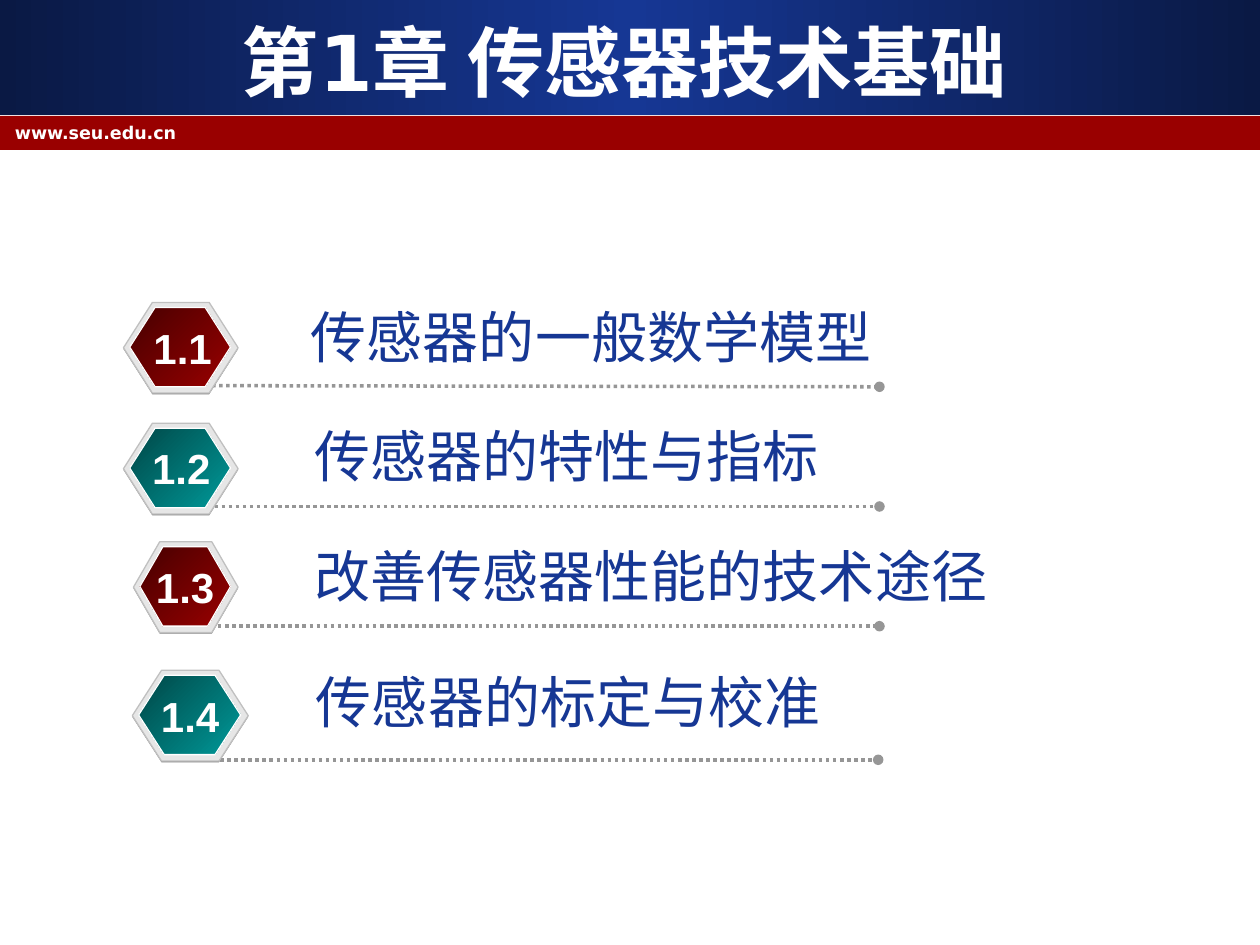
import copy

import pptx
import pptx.dml.color
import pptx.enum.dml
import pptx.enum.shapes
import pptx.enum.text
import pptx.oxml
import pptx.oxml.ns
import pptx.util

Inches = pptx.util.Inches
Pt = pptx.util.Pt
MSO_SHAPE = pptx.enum.shapes.MSO_SHAPE
ALIGN = pptx.enum.text.PP_ALIGN
ANCHOR = pptx.enum.text.MSO_ANCHOR
AUTO_SIZE = pptx.enum.text.MSO_AUTO_SIZE
qn = pptx.oxml.ns.qn

RED = ["470000", "990000"]
TEAL = ["004747", "009999"]
NAVY = ["0A1944", "163794", "0A1944"]

SECTIONS = [
    dict(number="1.1", text="传感器的一般数学模型", colors=RED,
         hexagon=(0.98, 2.4, 0.91), adj=0.319, label=(1.12, 2.51),
         heading=(2.37, 2.35, 4.84), line=(1.18, 3.06, 6.98, 3.07)),
    dict(number="1.2", text="传感器的特性与指标", colors=TEAL,
         hexagon=(0.98, 3.36, 0.91), adj=0.318, label=(1.11, 3.46),
         heading=(2.4, 3.3, 6.54), line=(1.2, 4.02, 6.98, 4.02)),
    dict(number="1.3", text="改善传感器性能的技术途径", colors=RED,
         hexagon=(1.06, 4.3, 0.83), adj=0.289, label=(1.14, 4.41),
         heading=(2.4, 4.25, 5.59), line=(1.73, 4.97, 6.98, 4.97)),
    dict(number="1.4", text="传感器的标定与校准", colors=TEAL,
         hexagon=(1.05, 5.32, 0.92), adj=0.322, label=(1.18, 5.43),
         heading=(2.41, 5.25, 4.26), line=(1.3, 6.03, 6.97, 6.03)),
]


def rgb(value):
    return pptx.dml.color.RGBColor.from_string(value)


def set_text(tf, text, size, color, font="Arial", bold=False, align=ALIGN.LEFT):
    p = tf.paragraphs[0]
    p.alignment = align
    r = p.add_run()
    r.text = text
    r.font.size = Pt(size)
    r.font.name = font
    r.font.bold = bold
    r.font.color.rgb = rgb(color)


def add_text(s, x, y, w, h, text, wrap=True, **fmt):
    tf = s.shapes.add_textbox(Inches(x), Inches(y), Inches(w), Inches(h)).text_frame
    tf.word_wrap = wrap
    tf.auto_size = AUTO_SIZE.NONE
    set_text(tf, text, **fmt)


def fill_gradient(sp, colors, angle):
    sp.fill.gradient()
    sp.fill.gradient_angle = angle
    gs_list = next(sp._element.iter(qn("a:gsLst")))
    for _ in colors[2:]:
        gs_list.append(copy.deepcopy(gs_list[0]))
    for i, (stop, color) in enumerate(zip(sp.fill.gradient_stops, colors)):
        stop.position = i / (len(colors) - 1)
        stop.color.rgb = rgb(color)


def add_shape(s, kind, x, y, w, h, colors, angle=0, line=None):
    sp = s.shapes.add_shape(kind, Inches(x), Inches(y), Inches(w), Inches(h))
    sp.shadow.inherit = False
    if len(colors) > 1:
        fill_gradient(sp, colors, angle)
    else:
        sp.fill.solid()
        sp.fill.fore_color.rgb = rgb(colors[0])
    if line:
        sp.line.color.rgb = rgb(line)
        sp.line.width = Pt(0.75)
    else:
        sp.line.fill.background()
    return sp


def add_hexagon(s, x, y, w, adj, colors):
    layers = [
        (x, y + 0.01, w, 0.72, ["808080"], None),
        (x, y, w, 0.72, ["E6E6E6"], "C0C0C0"),
        (x + 0.05, y + 0.04, w - 0.11, 0.63, colors, "FFFFFF"),
    ]
    for left, top, width, height, fill, line in layers:
        sp = add_shape(s, MSO_SHAPE.HEXAGON, left, top, width, height, fill,
                       angle=315, line=line)
        sp.adjustments[0] = adj


def add_dotted_line(s, x1, y1, x2, y2):
    c = s.shapes.add_connector(pptx.enum.shapes.MSO_CONNECTOR.STRAIGHT,
                               Inches(x1), Inches(y1), Inches(x2), Inches(y2))
    c.line.color.rgb = rgb("969696")
    c.line.width = Pt(2)
    c.line.dash_style = pptx.enum.dml.MSO_LINE.ROUND_DOT
    tail = pptx.oxml.parse_xml(
        '<a:tailEnd %s type="oval"/>' % pptx.oxml.ns.nsdecls("a"))
    c.line._get_or_add_ln().append(tail)
    c._element.spPr.append(
        pptx.oxml.parse_xml("<a:effectLst %s/>" % pptx.oxml.ns.nsdecls("a")))


def add_header(s):
    add_shape(s, MSO_SHAPE.RECTANGLE, 0, 0, 10, 0.91, NAVY)
    add_shape(s, MSO_SHAPE.RECTANGLE, 0, 0.92, 10, 0.27, ["990000"])
    add_text(s, 0.02, 0.92, 9.25, 0.25, "www.seu.edu.cn",
             size=10, color="FFFFFF", font="DejaVu Sans", bold=True)


def set_title(s, text):
    title = s.shapes.title
    title.left, title.top = Inches(0.33), Inches(0.17)
    title.width, title.height = Inches(9.25), Inches(0.62)
    tf = title.text_frame
    tf.auto_size = AUTO_SIZE.NONE
    tf.vertical_anchor = ANCHOR.MIDDLE
    set_text(tf, text, size=44, color="FFFFFF", font="DejaVu Sans",
             bold=True, align=ALIGN.CENTER)
    s.shapes._spTree.append(title._element)


def add_section(s, number, text, colors, hexagon, adj, label, heading, line):
    add_dotted_line(s, *line)
    add_hexagon(s, *hexagon, adj, colors)
    add_text(s, *label, 0.66, 0.5, number, wrap=False,
             size=24, color="FFFFFF", bold=True, align=ALIGN.CENTER)
    add_text(s, *heading, 0.64, text, size=32, color="163794")


def main():
    prs = pptx.Presentation()
    prs.slide_width, prs.slide_height = Inches(10), Inches(7.5)
    s = prs.slides.add_slide(prs.slide_layouts[5])
    add_header(s)
    set_title(s, "第1章 传感器技术基础")
    for section in SECTIONS:
        add_section(s, **section)
    prs.save("out.pptx")


if __name__ == "__main__":
    main()
